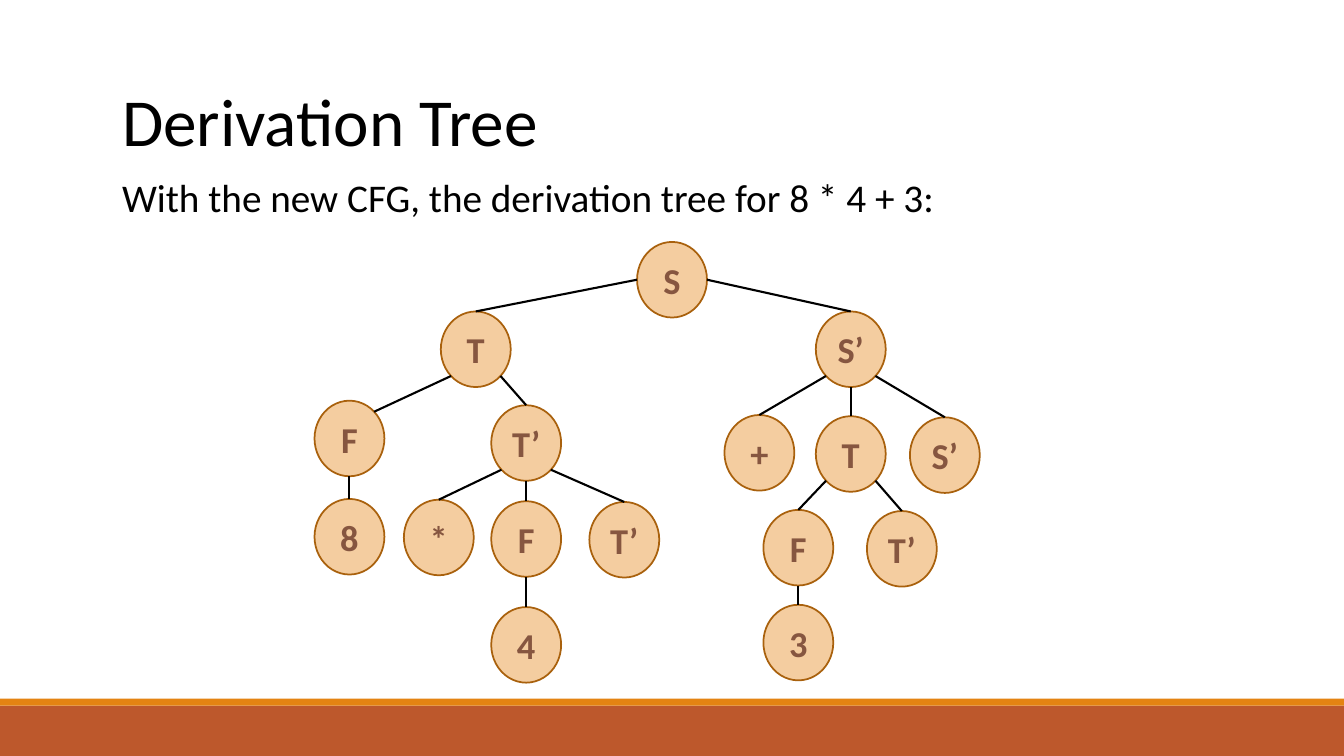
from dataclasses import dataclass
from math import sqrt

from lxml.etree import SubElement
from pptx import Presentation
from pptx.dml.color import RGBColor
from pptx.enum.shapes import MSO_CONNECTOR, MSO_SHAPE
from pptx.enum.text import MSO_ANCHOR, MSO_AUTO_SIZE, PP_ALIGN
from pptx.oxml.ns import qn
from pptx.util import Inches, Pt


@dataclass(frozen=True)
class Theme:
    font: str = "Calibri"
    title: int = 48
    body: int = 28
    node: int = 26
    black: RGBColor = RGBColor(0, 0, 0)
    orange: RGBColor = RGBColor(0xE4, 0x83, 0x12)
    rust: RGBColor = RGBColor(0xBD, 0x58, 0x2C)
    outline: RGBColor = RGBColor(0xA9, 0x61, 0x0D)
    label: RGBColor = RGBColor(0x86, 0x56, 0x40)


theme = Theme()
prs = Presentation()
prs.slide_width, prs.slide_height = Inches(13.33), Inches(7.5)
s = prs.slides.add_slide(prs.slide_layouts[1])

# Grid of 100 columns by 100 rows
COL, ROW = prs.slide_width / 100, prs.slide_height / 100


def box(x, y, w, h):
    return int(x * COL), int(y * ROW), int(w * COL), int(h * ROW)


def write(sp, text, size, color=theme.black, bold=False, align=PP_ALIGN.LEFT,
          anchor=MSO_ANCHOR.TOP, wrap=True):
    tf = sp.text_frame
    tf.auto_size = MSO_AUTO_SIZE.NONE
    tf.word_wrap, tf.vertical_anchor = wrap, anchor
    p = tf.paragraphs[0]
    p.alignment, p.space_before = align, Pt(0)
    r = p.add_run()
    r.text = text
    r.font.name, r.font.size, r.font.bold = theme.font, Pt(size), bold
    r.font.color.rgb = color
    return p


# Footer bars
for y, h, color in ((93.33, 6.67, theme.rust), (92.4, 0.93, theme.orange)):
    bar = s.shapes.add_shape(MSO_SHAPE.RECTANGLE, *box(0, y, 100, h))
    bar.shadow.inherit = False
    bar.fill.solid()
    bar.fill.fore_color.rgb = color
    bar.line.fill.background()

# Title and introduction
title, body = s.placeholders
title.left, title.top, title.width, title.height = box(8.33, 9.8, 83.2, 12.1)
write(title, "Derivation Tree", theme.title, anchor=MSO_ANCHOR.MIDDLE)
body.left, body.top, body.width, body.height = box(8.33, 22.3, 63.5, 7.6)
p = write(body, "With the new CFG, the derivation tree for 8 * 4 + 3:", theme.body)
pPr = p._p.get_or_add_pPr()
pPr.set("marL", "0")
pPr.set("indent", "0")
SubElement(pPr, qn("a:buNone"))

# Tree nodes: key -> label, centre column, top row, parent key
NODE_W, NODE_H = 5.2, 10
tree = {
    "root": ("S", 50, 32, None),
    "term": ("T", 35.4, 41.2, "root"),
    "sum": ("S’", 63.3, 41.2, "root"),
    "factor 8": ("F", 26, 53, "term"),
    "product": ("T’", 39.15, 53.6, "term"),
    "8": ("8", 26, 66, "factor 8"),
    "times": ("*", 32.65, 66.1, "product"),
    "factor 4": ("F", 39.15, 66.3, "product"),
    "product end": ("T’", 46.45, 66.4, "product"),
    "4": ("4", 39.15, 80.3, "factor 4"),
    "plus": ("+", 56.5, 54.9, "sum"),
    "sum term": ("T", 63.3, 55.05, "sum"),
    "sum end": ("S’", 70.3, 55.2, "sum"),
    "factor 3": ("F", 59.4, 67.45, "sum term"),
    "sum term end": ("T’", 67.1, 67.6, "sum term"),
    "3": ("3", 59.4, 80, "factor 3"),
}
for label, x, y, parent in tree.values():
    sp = s.shapes.add_shape(MSO_SHAPE.OVAL, *box(x - NODE_W / 2, y, NODE_W, NODE_H))
    sp.shadow.inherit = False
    sp.fill.solid()
    sp.fill.fore_color.rgb = theme.orange
    rgb = sp.fill._xPr.find(qn("a:solidFill"))[0]
    SubElement(rgb, qn("a:alpha"), val="40000")
    sp.line.color.rgb, sp.line.width = theme.outline, Pt(1.25)
    write(sp, label, theme.node, color=theme.label, bold=True,
          align=PP_ALIGN.CENTER, anchor=MSO_ANCHOR.MIDDLE, wrap=False)

# Branches: leave the root sideways, other nodes diagonally or straight down
DIAG = 1 / sqrt(2)
for key, (label, x, y, parent) in tree.items():
    if parent is None:
        continue
    _, px, py, _ = tree[parent]
    side = (x > px) - (x < px)
    if parent == "root":
        dx, dy = side, 0
    else:
        dx, dy = (side * DIAG, DIAG) if side else (0, 1)
    ex, ey = (DIAG, -DIAG) if key == "factor 8" else (0, -1)
    start = box(px + dx * NODE_W / 2, py + (1 + dy) * NODE_H / 2, 0, 0)[:2]
    end = box(x + ex * NODE_W / 2, y + (1 + ey) * NODE_H / 2, 0, 0)[:2]
    branch = s.shapes.add_connector(MSO_CONNECTOR.STRAIGHT, *start, *end)
    branch.line.color.rgb, branch.line.width = theme.black, Pt(1.5)
    SubElement(branch._element.spPr, qn("a:effectLst"))

prs.save("out.pptx")
